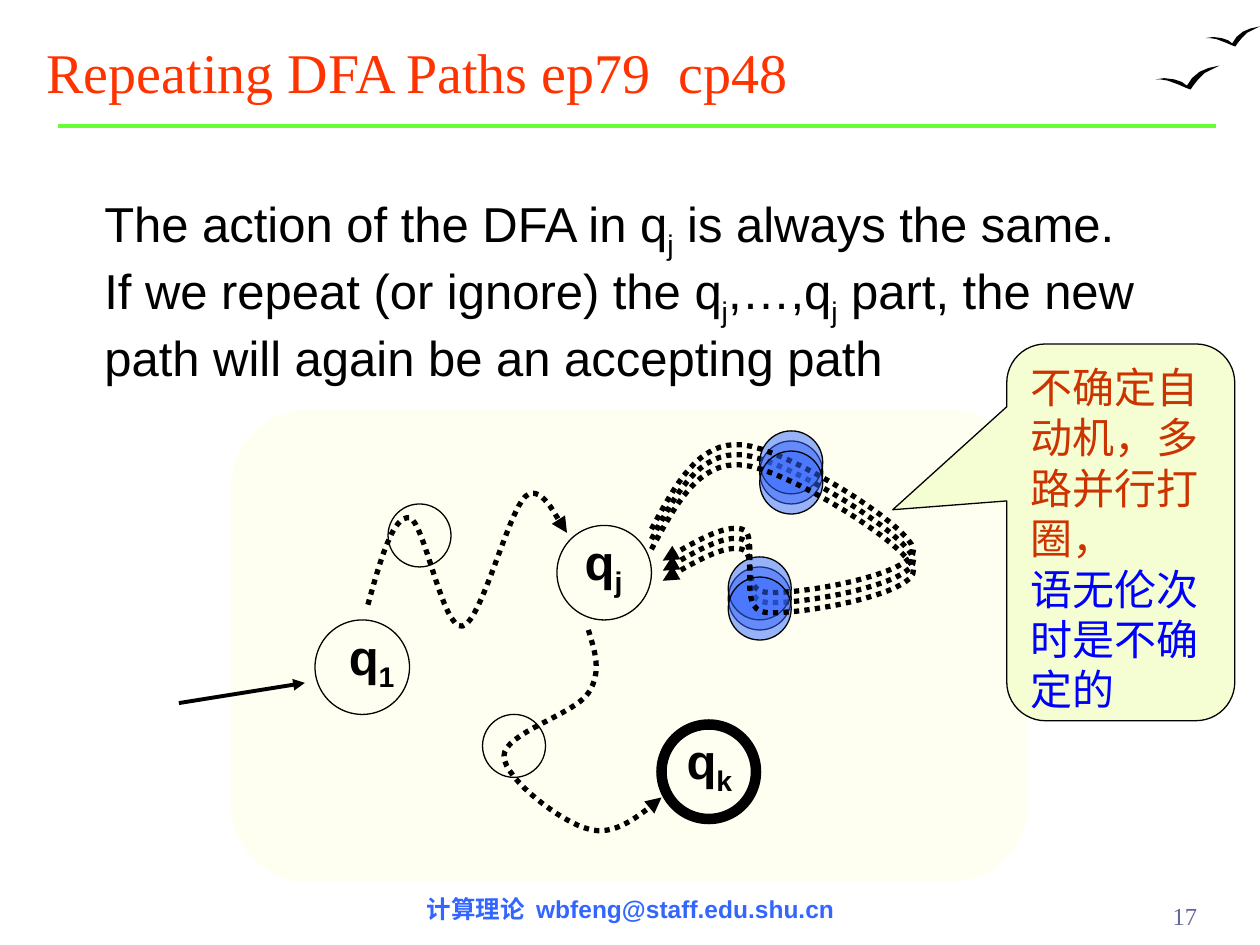
import pptx
import pptx.util
import pptx.dml.color
import pptx.enum.dml
import pptx.enum.shapes
import pptx.enum.text
import pptx.oxml

Inches, Pt = pptx.util.Inches, pptx.util.Pt
RGBColor = pptx.dml.color.RGBColor
MSO_SHAPE = pptx.enum.shapes.MSO_SHAPE
PP_ALIGN = pptx.enum.text.PP_ALIGN
NS = 'xmlns:a="http://schemas.openxmlformats.org/drawingml/2006/main"'

BLACK = RGBColor(0x00, 0x00, 0x00)
RED = RGBColor(0xFF, 0x33, 0x00)
GREEN = RGBColor(0x66, 0xFF, 0x33)
BLUE = RGBColor(0x33, 0x66, 0xFF)
CREAM = RGBColor(0xFF, 0xFF, 0xF1)
LIME = RGBColor(0xF4, 0xFE, 0xD2)
BRICK = RGBColor(0xCC, 0x33, 0x00)
PURE_BLUE = RGBColor(0x00, 0x00, 0xFF)
SLATE = RGBColor(0x66, 0x66, 0x99)


def write(p, runs, size, font, color, bold=False):
    for text in runs:
        if text == "\n":
            p.add_line_break()
            continue
        r = p.add_run()
        r.text = text.lstrip("_")
        r.font.size, r.font.name, r.font.bold = Pt(size), font, bold
        r.font.color.rgb = color
        if text.startswith("_"):
            r._r.get_or_add_rPr().set("baseline", "-25000")


def style(sp, fill=None, line=None, width=0.75, alpha=None, tail=False):
    if hasattr(sp, "shadow"):
        sp.shadow.inherit = False
    else:
        sp._element.spPr.append(pptx.oxml.parse_xml(f"<a:effectLst {NS}/>"))
    if fill is not None:
        sp.fill.solid()
        sp.fill.fore_color.rgb = fill
    elif hasattr(sp, "fill"):
        sp.fill.background()
    if alpha is not None:
        clr = sp._element.spPr.find(".//{*}solidFill/{*}srgbClr")
        clr.append(pptx.oxml.parse_xml(f'<a:alpha {NS} val="{alpha * 1000}"/>'))
    if line is None:
        sp.line.fill.background()
    else:
        sp.line.color.rgb = line
        sp.line.width = Pt(width)
    if tail:
        end = pptx.oxml.parse_xml(f'<a:tailEnd {NS} type="triangle"/>')
        sp.line._get_or_add_ln().append(end)


prs = pptx.Presentation()
prs.slide_width, prs.slide_height = Inches(10), Inches(7.5)
s = prs.slides.add_slide(prs.slide_layouts[5])

bird = [(0, 11), (7, 10), (15, 11), (21, 13), (25, 16), (29, 10), (35, 5),
        (42, 2), (51, 0), (45, 3), (39, 6), (34, 11), (30, 16), (28, 19),
        (25, 18), (18, 15), (10, 12), (4, 11)]
for left, top, size in [(9.57, 0.21, 0.84), (9.17, 0.52, 1)]:
    pts = [(Inches(left + x * size / 100), Inches(top + y * size / 100)) for x, y in bird]
    fb = s.shapes.build_freeform(*pts[0])
    fb.add_line_segments(pts[1:], close=True)
    style(fb.convert_to_shape(), BLACK)

rule = s.shapes.add_connector(pptx.enum.shapes.MSO_CONNECTOR.STRAIGHT,
                              Inches(0.46), Inches(1), Inches(9.65), Inches(1))
style(rule, line=GREEN, width=2.25)

title = s.shapes.title
title.left, title.top, title.width, title.height = Inches(0.27), Inches(0.21), Inches(9.39), Inches(0.67)
tf = title.text_frame
tf.auto_size = pptx.enum.text.MSO_AUTO_SIZE.NONE
tf.vertical_anchor = pptx.enum.text.MSO_ANCHOR.BOTTOM
tf.paragraphs[0].alignment = PP_ALIGN.LEFT
write(tf.paragraphs[0], ["Repeating DFA Paths ep79  cp48"], 32, "Times New Roman", RED)

dfa = s.shapes.add_group_shape()
panel = dfa.shapes.add_shape(MSO_SHAPE.FLOWCHART_ALTERNATE_PROCESS,
                             Inches(1.83), Inches(3.25), Inches(6.33), Inches(3.75))
style(panel, CREAM)

states = [(2.5, 4.92, 0.75, "1", 2.67, 0.56),
          (5.25, 5.75, 6, "k", 5.35, 0.56),
          (4.42, 4.17, 0.75, "j", 4.54, 0.5)]
for x, y, width, name, text_x, text_w in states:
    sp = dfa.shapes.add_shape(MSO_SHAPE.OVAL, Inches(x), Inches(y), Inches(0.75), Inches(0.75))
    style(sp, CREAM, BLACK, width)
    tb = dfa.shapes.add_textbox(Inches(text_x), Inches(y), Inches(text_w), Inches(0.63))
    tb.text_frame.word_wrap = False
    p = tb.text_frame.paragraphs[0]
    p.alignment = PP_ALIGN.CENTER
    write(p, ["q", "_" + name], 28, "Arial", BLACK, True)

start = dfa.shapes.add_connector(pptx.enum.shapes.MSO_CONNECTOR.STRAIGHT,
                                 Inches(1.42), Inches(5.58), Inches(2.42), Inches(5.42))
style(start, line=BLACK, width=2.25, tail=True)

to_qj = [(2.92, 4.8), (3.02, 4.44), (3.12, 4.09), (3.25, 4.11), (3.37, 4.14),
         (3.51, 5), (3.67, 4.97), (3.82, 4.94), (4.03, 4.07), (4.17, 3.94),
         (4.31, 3.82), (4.44, 4.17), (4.5, 4.23)]
to_qk = [(4.67, 5), (4.72, 5.17), (4.78, 5.33), (4.67, 5.5), (4.56, 5.67),
         (4, 5.82), (4, 6), (4, 6.18), (4.46, 6.53), (4.67, 6.58),
         (4.87, 6.64), (5.06, 6.49), (5.25, 6.33)]
qj_loop = [(5.17, 4.28), (5.36, 3.93), (5.54, 3.58), (5.89, 3.61), (6.24, 3.64),
           (7.22, 4.25), (7.25, 4.44), (7.28, 4.64), (6.3, 4.81), (6.07, 4.78),
           (5.85, 4.75), (6.03, 4.32), (5.89, 4.28), (5.75, 4.24), (5.51, 4.38),
           (5.26, 4.53)]
pale_stops = [(3.08, 4), (3.83, 5.67)]
loop_stops = [(6.03, 3.5), (5.78, 4.5)]
STEPS = 16
routes = [(dfa, 0, CREAM, pale_stops, [to_qj, to_qk])]
routes += [(s.shapes.add_group_shape(), dy, BLUE, loop_stops, [qj_loop])
           for dy in (0, -0.08, 0.08)]
for group, dy, color, stops, curves in routes:
    for x, y in stops:
        sp = group.shapes.add_shape(MSO_SHAPE.OVAL, Inches(x), Inches(y + dy), Inches(0.5), Inches(0.5))
        style(sp, color, BLACK, alpha=50)
    for curve in curves:
        pts = []
        for i in range(0, len(curve) - 1, 3):
            a, b, c, d = curve[i:i + 4]
            for k in range(1, STEPS + 1):
                t = k / STEPS
                u = 1 - t
                x, y = [u**3 * a[n] + 3 * u * u * t * b[n] + 3 * u * t * t * c[n] + t**3 * d[n]
                        for n in (0, 1)]
                pts.append((Inches(x), Inches(y + dy)))
        fb = group.shapes.build_freeform(Inches(curve[0][0]), Inches(curve[0][1] + dy))
        fb.add_line_segments(pts, close=False)
        sp = fb.convert_to_shape()
        style(sp, line=BLACK, width=3, tail=True)
        sp.line.dash_style = pptx.enum.dml.MSO_LINE.ROUND_DOT

tb = s.shapes.add_textbox(Inches(0.73), Inches(1.49), Inches(9.27), Inches(1.63))
tf = tb.text_frame
tf.word_wrap = True
write(tf.paragraphs[0], ["The action of the DFA in q", "_j", " is always the same."], 28, "Arial", BLACK)
write(tf.add_paragraph(), ["If we repeat (or ignore) the q", "_j", ",…,q", "_j", " part, the new", "\n",
                           "path will again be an accepting path"], 28, "Arial", BLACK)

callout = s.shapes.add_shape(MSO_SHAPE.ROUNDED_RECTANGULAR_CALLOUT,
                             Inches(7.99), Inches(2.73), Inches(1.81), Inches(2.99))
for i, value in enumerate((-1, -0.06, 0.17)):
    callout.adjustments[i] = value
style(callout, LIME, BLACK)
tf = callout.text_frame
tf.word_wrap = True
tf.vertical_anchor = pptx.enum.text.MSO_ANCHOR.TOP
write(tf.paragraphs[0], ["不确定自动机，多路并行打圈，"], 24, "Times New Roman", BRICK)
write(tf.add_paragraph(), ["语无伦次时是不确定的"], 24, "Times New Roman", PURE_BLUE)
for p in tf.paragraphs:
    p.alignment = PP_ALIGN.LEFT

footers = [(2.84, 7.05, 4.33, 0.34, PP_ALIGN.CENTER, "计算理论  wbfeng@staff.edu.shu.cn", "Arial", BLUE, True),
           (8.73, 7.1, 0.87, 0.31, PP_ALIGN.RIGHT, "17", "Times New Roman", SLATE, False)]
for x, y, w, h, align, text, font, color, bold in footers:
    tb = s.shapes.add_textbox(Inches(x), Inches(y), Inches(w), Inches(h))
    tb.text_frame.word_wrap = True
    p = tb.text_frame.paragraphs[0]
    p.alignment = align
    write(p, [text], 14, font, color, bold)

prs.save("out.pptx")
